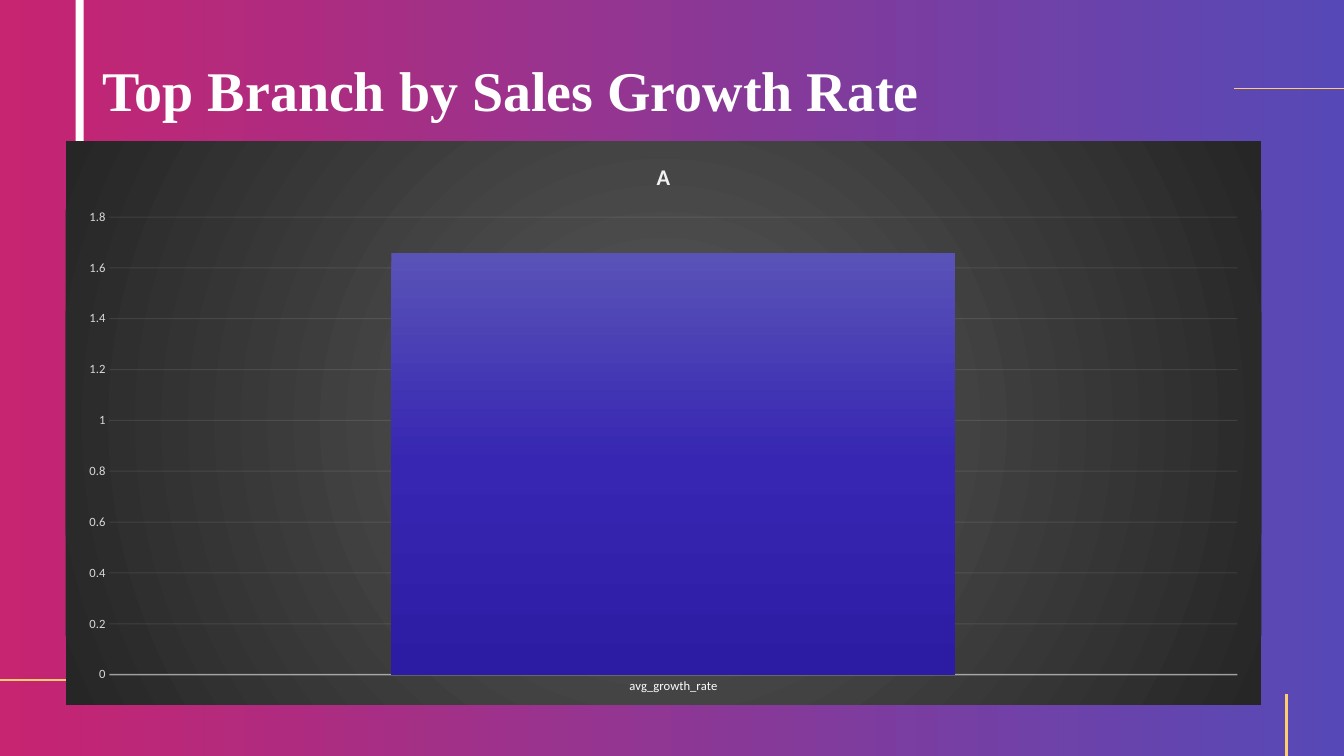
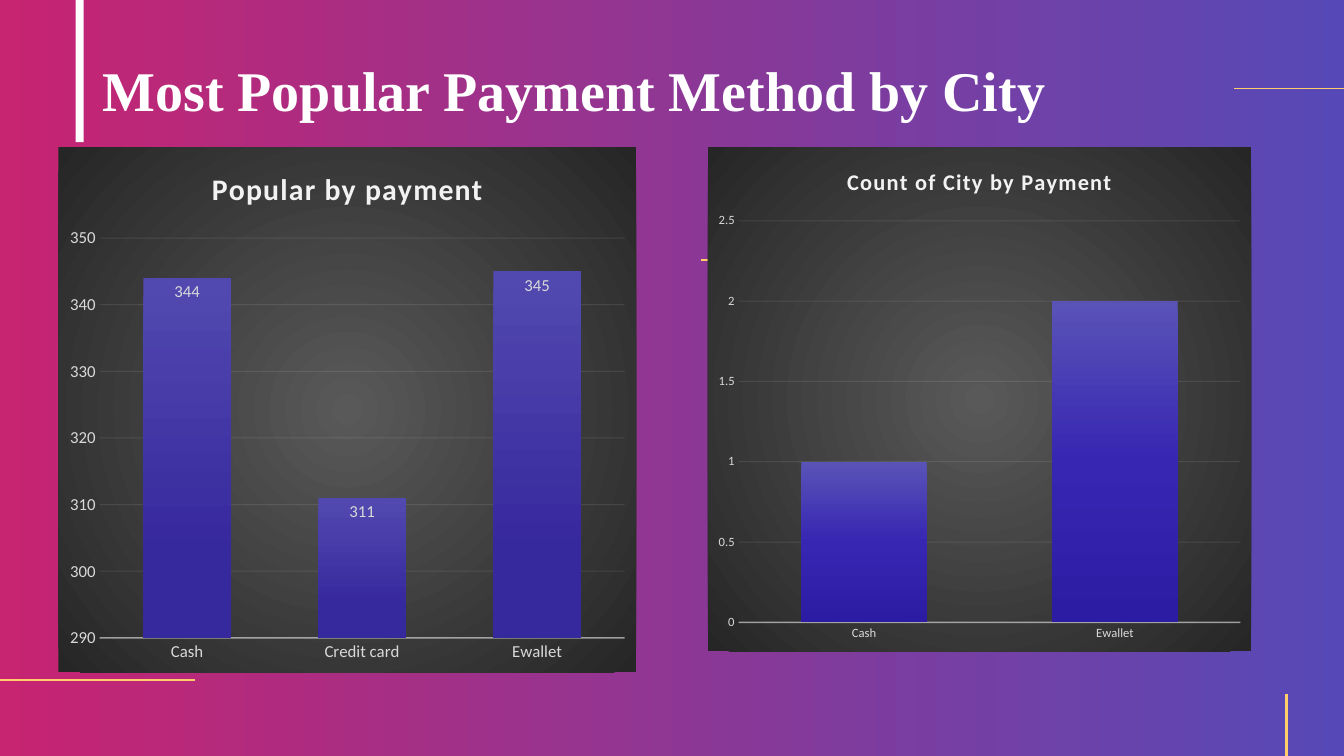
from dataclasses import dataclass

from lxml import etree
from pptx import Presentation
from pptx import util as u
from pptx.chart.data import CategoryChartData
from pptx.dml.color import RGBColor
from pptx.enum import chart as ch, shapes, text
from pptx.oxml import parse_xml
from pptx.oxml.ns import nsdecls, qn

PX = 9144  # 100 px to the inch
W, H = 1333, 750


class Theme:
    white, text, label, accent = "FFFFFF", "F2F2F2", "D9D9D9", "FFCD6B"
    backdrop = [(0, "BE005A"), (100, "3B2CAC")]
    backdrop_alpha = 85
    panel = [(0, "595959"), (100, "262626")]
    bar_bright = [(0, "5A53B7"), (50, "3626B2"), (100, "2C1CA4")]
    bar_muted = [(0, "5249B0"), (78, "36289D")]
    axis_alpha, grid_alpha = 54, 10
    title_font, chart_font = "Times New Roman", "Calibri"
    title_size, chart_title_size, tick_size = 40, 16, 9


@dataclass
class Column:
    """Content and settings of one column chart."""
    title: str
    name: str
    cats: list
    vals: list
    scale: tuple  # minimum, maximum, step
    bars: list
    title_size: float = Theme.chart_title_size
    spacing: int = 100
    tick_size: int = Theme.tick_size
    cat_color: str = Theme.label
    labels: bool = False


def px(*lengths):
    return [u.Emu(n * PX) for n in lengths]


def rgb(color):
    return RGBColor.from_string(color)


def set_font(font, size, color, name, bold=False):
    font.size, font.name, font.bold = u.Pt(size), name, bold
    font.color.rgb = rgb(color)


def gradient(stops, angle=None, alpha=100):
    """Linear gradient fill at an angle, or a circular one without it."""
    gs = "".join(
        f'<a:gs pos="{pos * 1000}"><a:srgbClr val="{color}">'
        f'<a:alpha val="{alpha * 1000}"/></a:srgbClr></a:gs>'
        for pos, color in stops)
    if angle is None:
        way = ('<a:path path="circle"><a:fillToRect l="50000" t="50000" '
               'r="50000" b="50000"/></a:path>')
    else:
        way = f'<a:lin ang="{angle * 60000}" scaled="0"/>'
    return parse_xml(f'<a:gradFill {nsdecls("a")} rotWithShape="1">'
                     f'<a:gsLst>{gs}</a:gsLst>{way}</a:gradFill>')


def swap_fill(sp_pr, fill):
    sp_pr.replace(sp_pr.find(qn("a:solidFill")), fill)


def add_rect(s, box, color):
    sp = s.shapes.add_shape(shapes.MSO_SHAPE.RECTANGLE, *px(*box))
    sp.shadow.inherit = False
    sp.fill.solid()
    sp.fill.fore_color.rgb = rgb(color)
    sp.line.fill.background()
    return sp


def add_line(s, x1, y1, x2, y2, weight=1.5):
    line = s.shapes.add_connector(shapes.MSO_CONNECTOR.STRAIGHT,
                                  *px(x1, y1, x2, y2))
    line.line.color.rgb = rgb(Theme.accent)
    line.line.width = u.Pt(weight)
    etree.SubElement(line._element.spPr, qn("a:effectLst"))


def add_frame(s):
    """Backdrop, title bar and accent lines."""
    backdrop = add_rect(s, (0, 0, W, H), Theme.white)
    swap_fill(backdrop._element.spPr,
              gradient(Theme.backdrop, 0, Theme.backdrop_alpha))
    add_rect(s, (75, 0, 8, 141), Theme.white)
    add_line(s, 695, 258, 764, 258)
    add_line(s, 1224, 88, W, 88, 0.5)
    add_line(s, 0, 675, 193, 675)
    add_line(s, 1276, H, 1276, 689)


def add_title(s, title, box):
    tf = s.shapes.add_textbox(*px(*box)).text_frame
    tf.word_wrap = True
    tf.vertical_anchor = text.MSO_ANCHOR.MIDDLE
    p = tf.paragraphs[0]
    p.text = title
    p.line_spacing = 0.9
    set_font(p.font, Theme.title_size, Theme.white, Theme.title_font, True)


def style_line(line, weight, alpha):
    """Pale line of an axis or grid; returns nothing but sets its opacity."""
    line.color.rgb = rgb(Theme.text)
    line.width = u.Pt(weight)
    clr = line._ln.find(".//" + qn("a:srgbClr"))
    etree.SubElement(clr, qn("a:alpha")).set("val", str(alpha * 1000))


def style_axes(chart, col):
    cat, val = chart.category_axis, chart.value_axis
    for axis, color in ((cat, col.cat_color), (val, Theme.label)):
        axis.major_tick_mark = axis.minor_tick_mark = ch.XL_TICK_MARK.NONE
        set_font(axis.tick_labels.font, col.tick_size, color, Theme.chart_font)
    cat.has_major_gridlines = False
    style_line(cat.format.line, 1, Theme.axis_alpha)
    val.has_major_gridlines = True
    style_line(val.major_gridlines.format.line, 0.75, Theme.grid_alpha)
    val.format.line.fill.background()
    val.minimum_scale, val.maximum_scale, val.major_unit = col.scale
    val.tick_labels.number_format = "General"
    val.tick_labels.number_format_is_linked = False


def add_column_chart(s, col, box):
    data = CategoryChartData()
    data.categories = col.cats
    data.add_series(col.name, col.vals)
    chart = s.shapes.add_chart(ch.XL_CHART_TYPE.COLUMN_CLUSTERED,
                               *px(*box), data).chart
    chart.has_legend = False
    set_font(chart.font, 10, Theme.label, Theme.chart_font)

    # Dark panel
    sp_pr = parse_xml(f'<c:spPr {nsdecls("c", "a")}>'
                      '<a:ln><a:noFill/></a:ln></c:spPr>')
    sp_pr.insert(0, gradient(Theme.panel))
    chart._chartSpace.find(qn("c:chart")).addnext(sp_pr)

    # Heading
    chart.has_title = True
    chart.chart_title.include_in_layout = False
    p = chart.chart_title.text_frame.paragraphs[0]
    r = p.add_run()
    r.text = col.title
    set_font(r.font, col.title_size, Theme.text, Theme.chart_font, True)
    r._r.get_or_add_rPr().set("spc", str(col.spacing))

    style_axes(chart, col)

    # Bars
    plot = chart.plots[0]
    plot.gap_width, plot.overlap = 100, -24
    plot.vary_by_categories = False
    bars = plot.series[0]
    bars.format.fill.solid()
    bars.format.fill.fore_color.rgb = rgb(col.bars[0][1])
    swap_fill(bars._element.find(qn("c:spPr")), gradient(col.bars, 90))
    if col.labels:
        labels = bars.data_labels
        labels.show_value = True
        labels.position = ch.XL_LABEL_POSITION.INSIDE_END
        set_font(labels.font, col.tick_size, Theme.label, Theme.chart_font)


def chart_slide(prs, title, charts):
    s = prs.slides.add_slide(prs.slide_layouts[6])
    add_frame(s)
    add_title(s, title, (92, 20, 1150, 145))
    for col, box in charts:
        add_column_chart(s, col, box)


def main():
    prs = Presentation()
    prs.slide_width, prs.slide_height = px(W, H)

    growth = Column("A", "A", ["avg_growth_rate"], [1.66], (0, 1.8, 0.2),
                    Theme.bar_bright, spacing=0, cat_color=Theme.white)
    payment = Column("Popular by payment", "Series 1",
                     ["Cash", "Credit card", "Ewallet"], [344, 311, 345],
                     (290, 350, 10), Theme.bar_muted, title_size=21.3,
                     tick_size=12, labels=True)
    city = Column("Count of City by Payment", "Series 1",
                  ["Cash", "Ewallet"], [1, 2], (0, 2.5, 0.5),
                  Theme.bar_bright)

    chart_slide(prs, "Top Branch by Sales Growth Rate",
                [(growth, (65, 140, 1186, 559))])
    chart_slide(prs, "Most Popular Payment Method by City",
                [(payment, (58, 146, 573, 521)), (city, (702, 146, 539, 500))])
    prs.save("out.pptx")


if __name__ == "__main__":
    main()
